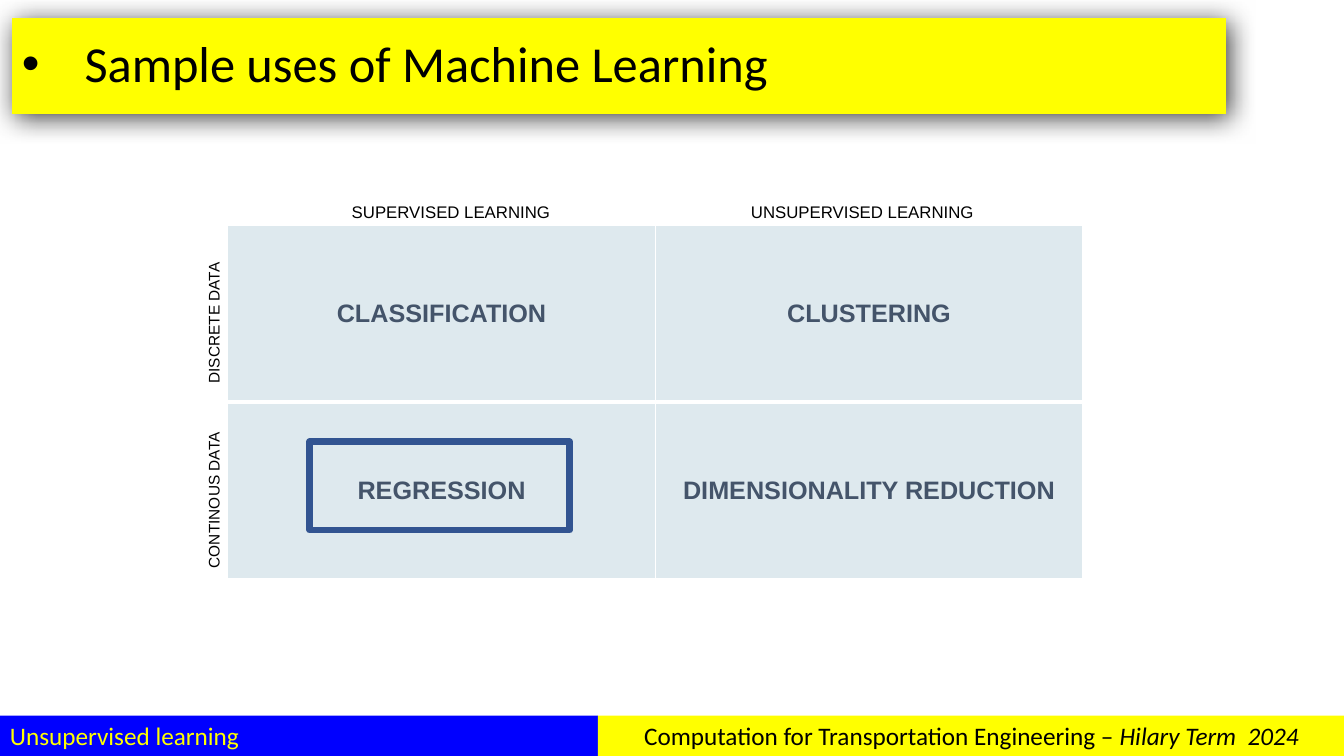
import lxml.etree
import pptx
import pptx.dml.color
import pptx.enum.shapes
import pptx.enum.text
import pptx.oxml
import pptx.oxml.ns
import pptx.util

EMU_PER_PX = 9144
YELLOW = pptx.dml.color.RGBColor(0xFF, 0xFF, 0x00)
BLUE = pptx.dml.color.RGBColor(0x00, 0x00, 0xFF)
BLACK = pptx.dml.color.RGBColor(0x00, 0x00, 0x00)
WHITE = pptx.dml.color.RGBColor(0xFF, 0xFF, 0xFF)
PALE_BLUE = pptx.dml.color.RGBColor(0xDE, 0xE9, 0xEE)
SLATE = pptx.dml.color.RGBColor(0x44, 0x54, 0x6A)
FRAME_BLUE = pptx.dml.color.RGBColor(0x32, 0x54, 0x91)
ALIGN = pptx.enum.text.PP_ALIGN
ANCHOR = pptx.enum.text.MSO_ANCHOR


def px(length):
    return pptx.util.Emu(length * EMU_PER_PX)


def box(*lengths):
    return [px(length) for length in lengths]


def add_xml(parent, tag, **attributes):
    element = lxml.etree.SubElement(parent, pptx.oxml.ns.qn(tag))
    for name, value in attributes.items():
        element.set(name, str(value))
    return element


def format_paragraph(paragraph, font_name, size, color, alignment=ALIGN.LEFT, bold=False):
    paragraph.alignment = alignment
    for run in paragraph.runs:
        run.font.name = font_name
        run.font.size = pptx.util.Pt(size)
        run.font.color.rgb = color
        run.font.bold = bold


def add_rectangle(slide, bounds, fill=None, line=None, line_width=0):
    shape = slide.shapes.add_shape(pptx.enum.shapes.MSO_SHAPE.RECTANGLE, *box(*bounds))
    shape.shadow.inherit = False
    if fill is None:
        shape.fill.background()
    else:
        shape.fill.solid()
        shape.fill.fore_color.rgb = fill
    if line is None:
        shape.line.fill.background()
    else:
        shape.line.color.rgb = line
        shape.line.width = pptx.util.Pt(line_width)
    return shape


def add_bar(slide, bounds, fill, text, size, color, alignment=ALIGN.LEFT, anchor=ANCHOR.TOP):
    shape = add_rectangle(slide, bounds, fill)
    shape.text_frame.text = text
    shape.text_frame.word_wrap = True
    shape.text_frame.vertical_anchor = anchor
    format_paragraph(shape.text_frame.paragraphs[0], "Calibri", size, color, alignment)
    return shape


def add_title(slide, text):
    shape = add_bar(slide, (12, 18, 1204, 95), YELLOW, text, 36, BLACK, anchor=ANCHOR.MIDDLE)
    paragraph = shape.text_frame.paragraphs[0]
    paragraph.line_spacing = 0.9
    properties = paragraph._p.get_or_add_pPr()
    properties.set("marL", str(px(62)))
    properties.set("indent", str(-px(62)))
    add_xml(properties, "a:buFont", typeface="Arial")
    add_xml(properties, "a:buChar", char="•")

    effects = shape._element.spPr.find(pptx.oxml.ns.qn("a:effectLst"))
    shadow = add_xml(effects, "a:outerShdw", blurRad=pptx.util.Pt(19),
                     dist=pptx.util.Pt(3), dir=45 * 60000, algn="tl", rotWithShape=0)
    add_xml(add_xml(shadow, "a:srgbClr", val=BLACK), "a:alpha", val=74000)


def add_label(slide, bounds, text, size, rotation=0):
    label = slide.shapes.add_textbox(*box(*bounds))
    label.rotation = rotation
    label.text_frame.word_wrap = True
    label.text_frame.text = text
    format_paragraph(label.text_frame.paragraphs[0], "Arial", size, BLACK)


def set_borders(cell, **widths):
    properties = cell._tc.get_or_add_tcPr()
    for position, (side, width) in enumerate(widths.items()):
        border = pptx.oxml.parse_xml(
            f'<a:ln{side} {pptx.oxml.ns.nsdecls("a")} w="{pptx.util.Pt(width)}">'
            f'<a:solidFill><a:srgbClr val="{WHITE}"/></a:solidFill></a:ln{side}>')
        properties.insert(position, border)


def add_method_table(slide, rows):
    frame = slide.shapes.add_table(len(rows), len(rows[0]), *box(226, 224, 848, 350))
    table = frame.table
    table.first_row = False
    table.horz_banding = False
    for row_index, methods in enumerate(rows):
        for column_index, method in enumerate(methods):
            cell = table.cell(row_index, column_index)
            cell.text_frame.text = method
            cell.vertical_anchor = ANCHOR.MIDDLE
            cell.fill.solid()
            cell.fill.fore_color.rgb = PALE_BLUE
            format_paragraph(cell.text_frame.paragraphs[0], "Arial", 18, SLATE,
                             ALIGN.CENTER, bold=True)
            top, bottom = (1, 3) if row_index == 0 else (3, 1)
            set_borders(cell, L=1, R=1, T=top, B=bottom)


def add_footer(slide, topic, course, term):
    add_bar(slide, (0, 710, 593, 40), BLUE, topic, 18, YELLOW)
    course_bar = add_bar(slide, (593, 710, 741, 40), YELLOW, course, 18, BLACK, ALIGN.CENTER)
    paragraph = course_bar.text_frame.paragraphs[0]
    term_run = paragraph.add_run()
    term_run.text = term
    format_paragraph(paragraph, "Calibri", 18, BLACK, ALIGN.CENTER)
    term_run.font.italic = True


def main():
    presentation = pptx.Presentation()
    presentation.slide_width, presentation.slide_height = box(1333, 750)
    slide = presentation.slides.add_slide(presentation.slide_layouts[6])

    add_title(slide, "Sample uses of Machine Learning")
    add_method_table(slide, [
        ("CLASSIFICATION", "CLUSTERING"),
        ("REGRESSION", "DIMENSIONALITY REDUCTION"),
    ])
    for left, text in ((339, "SUPERVISED LEARNING"), (735, "UNSUPERVISED LEARNING")):
        add_label(slide, (left, 195, 284, 30), text, 12)
    for top, text in ((293, "DISCRETE DATA"), (476, "CONTINOUS DATA")):
        add_label(slide, (129, top, 166, 29), text, 11, rotation=270)
    add_footer(slide, "Unsupervised learning",
               "Computation for Transportation Engineering – ", "Hilary Term  2024")
    add_rectangle(slide, (307, 438, 258, 88), line=FRAME_BLUE, line_width=4.5)
    presentation.save("out.pptx")


if __name__ == "__main__":
    main()
